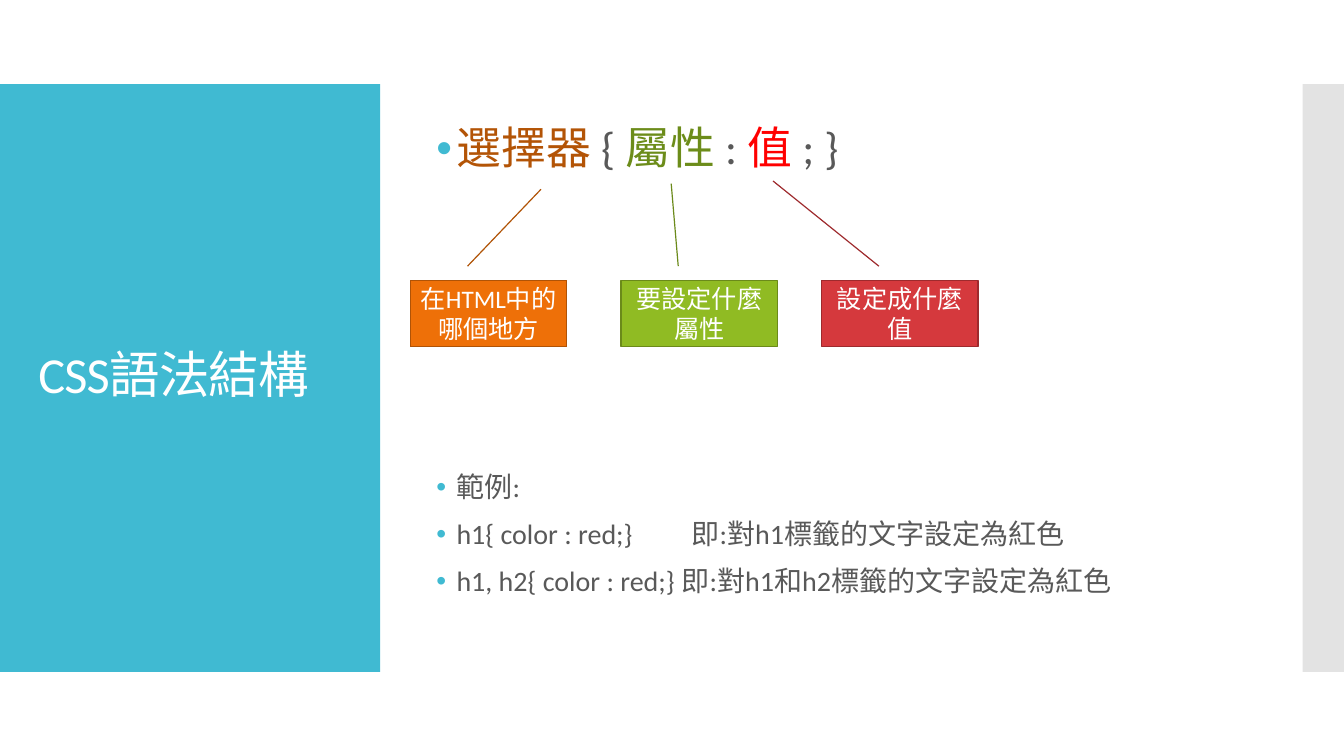
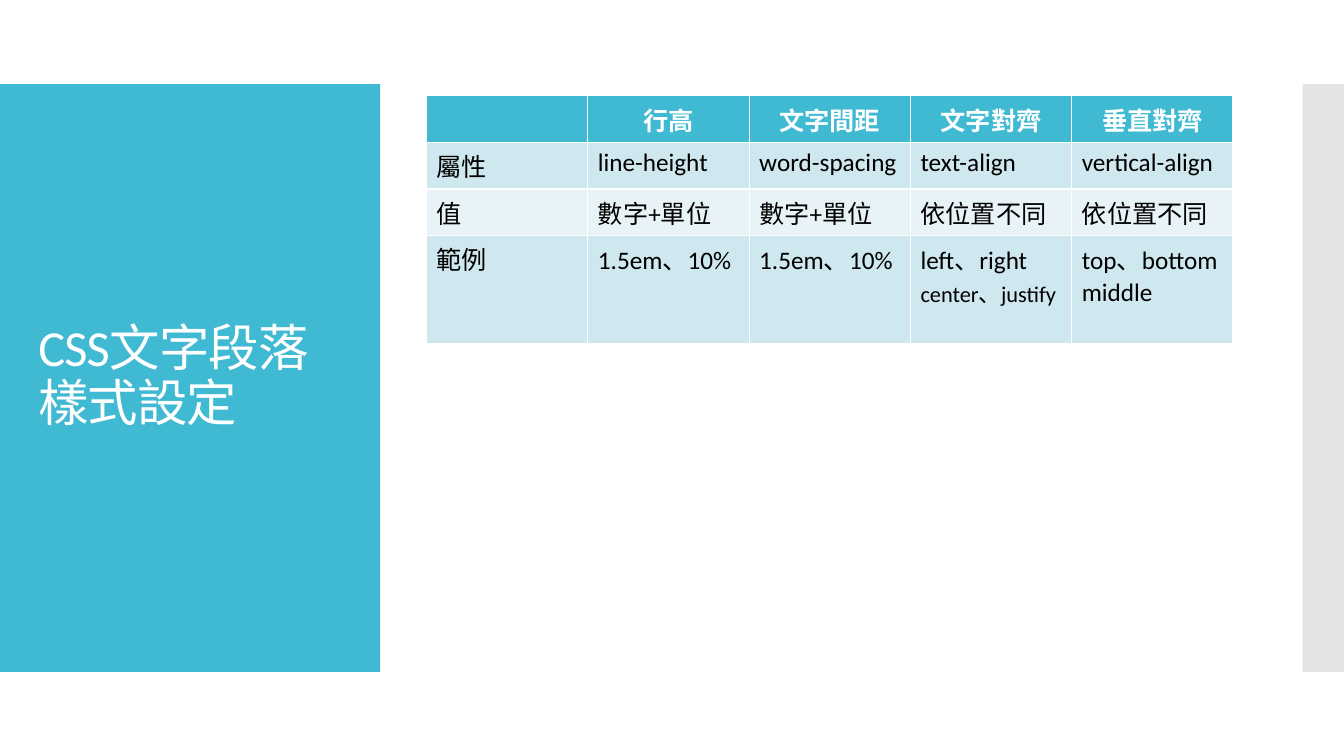
from lxml import etree
from pptx import Presentation
from pptx.dml.color import RGBColor
from pptx.enum.shapes import MSO_SHAPE
from pptx.enum.text import MSO_ANCHOR, MSO_AUTO_SIZE, PP_ALIGN
from pptx.oxml.ns import qn
from pptx.util import Inches, Pt

RECTANGLE = MSO_SHAPE.RECTANGLE
CALLOUT = MSO_SHAPE.LINE_CALLOUT_1
MIDDLE = MSO_ANCHOR.MIDDLE
LEFT, CENTER = PP_ALIGN.LEFT, PP_ALIGN.CENTER
NO_AUTOFIT = MSO_AUTO_SIZE.NONE

FONT = "Calibri"
COLORS = {
    "accent": "40BAD2", "side": "C8C8C8", "white": "FFFFFF", "black": "000000",
    "body": "595959", "selector": "B35406", "property": "6C8C1A", "value": "FF0000",
    "orange": "EE7008", "orange_line": "B05306",
    "green": "90BB23", "green_line": "6B8A1A",
    "red": "D5393D", "red_line": "9E2A2D",
    "row_dark": "CFE7EE", "row_light": "E8F3F7",
}

SLIDE_WIDTH, SLIDE_HEIGHT = 13.33, 7.5
BAND_TOP, BAND_HEIGHT = SLIDE_HEIGHT / 9, SLIDE_HEIGHT * 7 / 9
CONTENT_LEFT, CONTENT_TOP, CONTENT_WIDTH = 4.23, 0.95, 8
INDENT = 0.2
EXAMPLE_TAB = 2.53

SYNTAX = [
    ("選擇器 ", "selector"), ("{ ", "body"), ("屬性 ", "property"),
    (": ", "body"), ("值 ", "value"), ("; }", "body"),
]
EXAMPLES = [
    "範例:",
    "h1{ color : red;}\t即:對h1標籤的文字設定為紅色",
    "h1, h2{ color : red;} 即:對h1和h2標籤的文字設定為紅色",
]
CALLOUTS = [
    ("在HTML中的哪個地方", 4.07, "orange", (-1.367, 0.836)),
    ("要設定什麼屬性", 6.16, "green", (-1.451, 0.321)),
    ("設定成什麼值", 8.15, "red", (-1.492, -0.312)),
]
TABLE_ROWS = [
    ["", "行高", "文字間距", "文字對齊", "垂直對齊"],
    ["屬性", "line-height", "word-spacing", "text-align", "vertical-align"],
    ["值", "數字+單位", "數字+單位", "依位置不同", "依位置不同"],
    ["範例", "1.5em、10%", "1.5em、10%",
     [("left、right", 18), ("center、justify", 16)],
     [("top、bottom", 18), ("middle", 18)]],
]


def rgb(name):
    return RGBColor.from_string(COLORS[name])


def add_span(para, text, size=18, color="black", bold=False, spacing=None):
    span = para.add_run()
    span.text = text
    span.font.name = FONT
    span.font.size = Pt(size)
    span.font.bold = bold
    span.font.color.rgb = rgb(color)
    if spacing is not None:
        span.font.element.set("spc", str(round(spacing * 100))) if hasattr(
            span.font, "element") else span.text and para.runs[-1]._r.get_or_add_rPr().set(
            "spc", str(round(spacing * 100)))


def add_shape(page, kind, place, fill, line=None, alpha=None):
    shape = page.shapes.add_shape(kind, *map(Inches, place))
    shape.shadow.inherit = False
    shape.fill.solid()
    shape.fill.fore_color.rgb = rgb(fill)
    if alpha is not None:
        color = next(shape.element.iter(qn("a:srgbClr")))
        etree.SubElement(color, qn("a:alpha"), val=str(alpha * 1000))
    if line:
        shape.line.color.rgb = rgb(line)
        shape.line.width = Pt(0.85)
    else:
        shape.line.fill.background()
    return shape


def add_bands_to_layout(page):
    bands = [
        add_shape(page, RECTANGLE, (0, BAND_TOP, 3.77, BAND_HEIGHT), "accent"),
        add_shape(page, RECTANGLE, (SLIDE_WIDTH - 0.41, BAND_TOP, 0.41, BAND_HEIGHT),
                  "side", alpha=50),
    ]
    tree = page.slide_layout.shapes.element
    for position, band in enumerate(bands, start=2):
        tree.insert(position, band.element)


def set_title(page, text):
    title = page.shapes.title
    title.left, title.top = Inches(0.28), Inches(1.23)
    title.width, title.height = Inches(3.22), Inches(5.03)
    frame = title.text_frame
    frame.word_wrap = True
    frame.auto_size = NO_AUTOFIT
    frame.vertical_anchor = MIDDLE
    para = frame.paragraphs[0]
    para.alignment = LEFT
    para.line_spacing = 0.9
    add_span(para, text, size=36, color="white", spacing=-0.6)


def set_bullet(para, tab=None):
    props = para._p.get_or_add_pPr()
    props.set("marL", str(Inches(INDENT)))
    props.set("indent", str(-Inches(INDENT)))
    color = etree.SubElement(props, qn("a:buClr"))
    etree.SubElement(color, qn("a:srgbClr"), val=COLORS["accent"])
    etree.SubElement(props, qn("a:buFont"), typeface="Arial")
    etree.SubElement(props, qn("a:buChar"), char="•")
    if tab:
        tabs = etree.SubElement(props, qn("a:tabLst"))
        etree.SubElement(tabs, qn("a:tab"), pos=str(Inches(tab)), algn="l")


def add_bullets(page, top, height, lines, size, tab=None):
    place = CONTENT_LEFT, top, CONTENT_WIDTH, height
    frame = page.shapes.add_textbox(*map(Inches, place)).text_frame
    frame.word_wrap = True
    frame.vertical_anchor = MIDDLE
    for index, spans in enumerate(lines):
        para = frame.add_paragraph() if index else frame.paragraphs[0]
        para.line_spacing = 0.9
        para.space_before = Pt(12 if index else 0)
        set_bullet(para, tab)
        for text, color in spans:
            add_span(para, text, size=size, color=color)


def add_callout(page, text, left, color, pointer):
    box = add_shape(page, CALLOUT, (left, 2.78, 1.55, 0.66), color, color + "_line")
    for index, value in enumerate((-0.211, 0.366, *pointer)):
        box.adjustments[index] = value
    frame = box.text_frame
    frame.word_wrap = True
    frame.vertical_anchor = MIDDLE
    para = frame.paragraphs[0]
    para.alignment = CENTER
    add_span(para, text, color="white")


def fill_cell(cell, content, fill, header):
    cell.fill.solid()
    cell.fill.fore_color.rgb = rgb(fill)
    lines = [(content, 18)] if isinstance(content, str) else content
    for index, (text, size) in enumerate(lines):
        frame = cell.text_frame
        para = frame.add_paragraph() if index else frame.paragraphs[0]
        para.alignment = CENTER if header else LEFT
        if text:
            add_span(para, text, size=size, color="white" if header else "black", bold=header)


def add_property_table(page, rows):
    row_height = 0.41
    place = CONTENT_LEFT, CONTENT_TOP, CONTENT_WIDTH, row_height * len(rows)
    table = page.shapes.add_table(len(rows), len(rows[0]), *map(Inches, place)).table
    for row, contents in enumerate(rows):
        fill = "accent" if row == 0 else "row_dark" if row % 2 else "row_light"
        for column, content in enumerate(contents):
            fill_cell(table.cell(row, column), content, fill, header=row == 0)


def add_page(deck, title):
    page = deck.slides.add_slide(deck.slide_layouts.get_by_name("Title Only"))
    set_title(page, title)
    return page


def main():
    deck = Presentation()
    deck.slide_width, deck.slide_height = Inches(SLIDE_WIDTH), Inches(SLIDE_HEIGHT)

    syntax_page = add_page(deck, "CSS語法結構")
    add_bands_to_layout(syntax_page)
    add_bullets(syntax_page, 1.04, 0.9, [SYNTAX], size=32)
    examples = [[(line, "body")] for line in EXAMPLES]
    add_bullets(syntax_page, 4.5, 1.62, examples, size=20, tab=EXAMPLE_TAB)
    for callout in CALLOUTS:
        add_callout(syntax_page, *callout)

    table_page = add_page(deck, "CSS文字段落樣式設定")
    add_property_table(table_page, TABLE_ROWS)

    deck.save("out.pptx")


if __name__ == "__main__":
    main()
